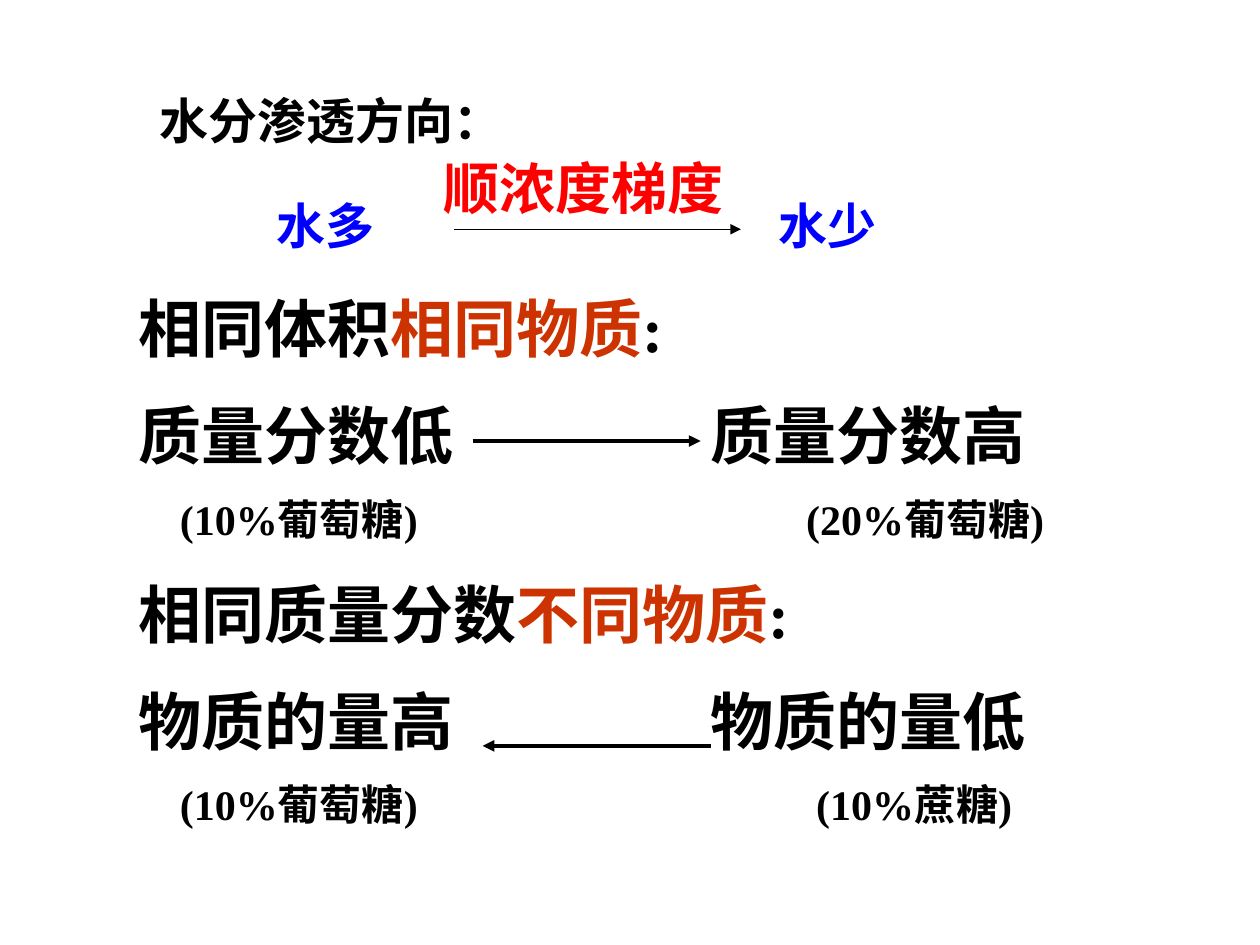
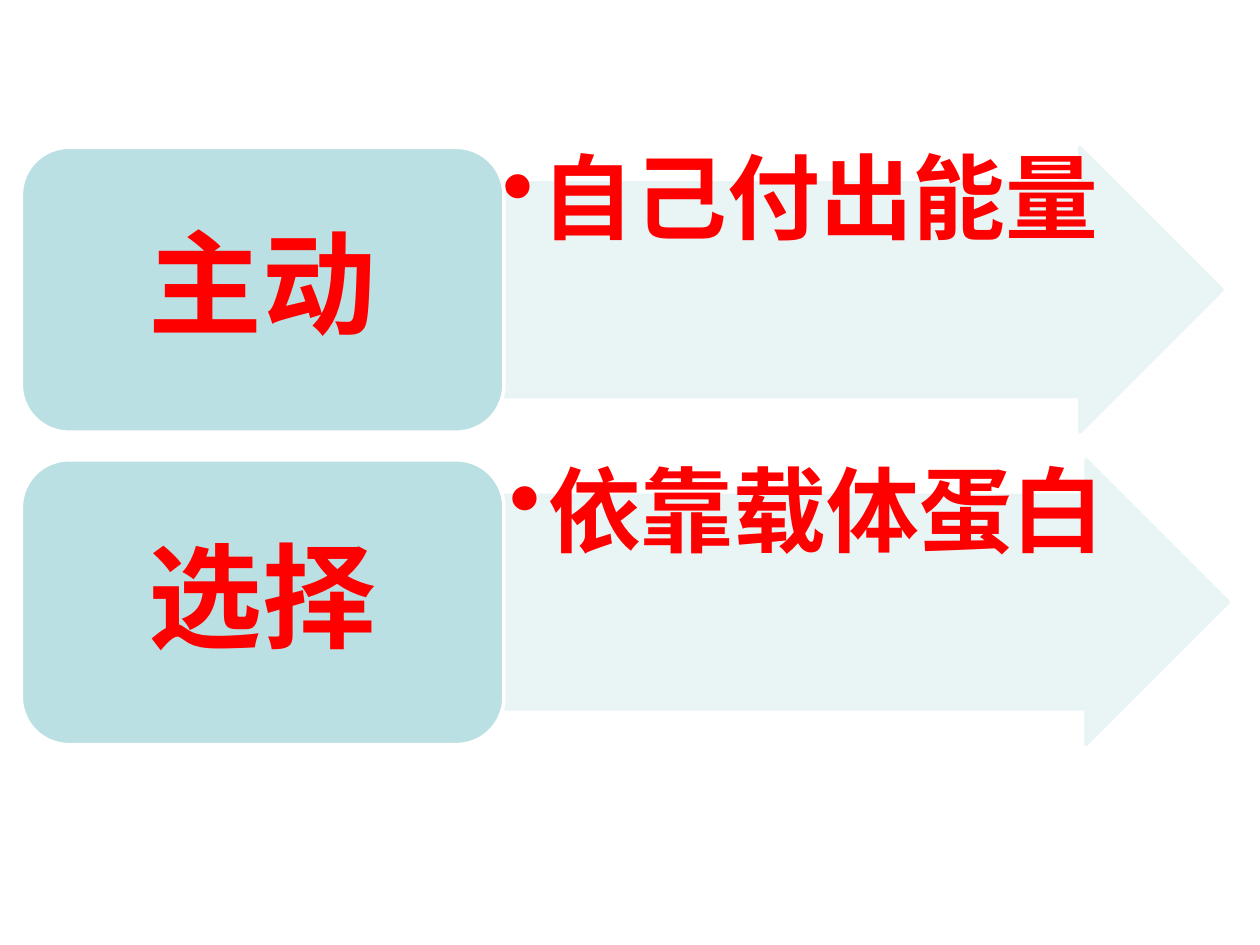
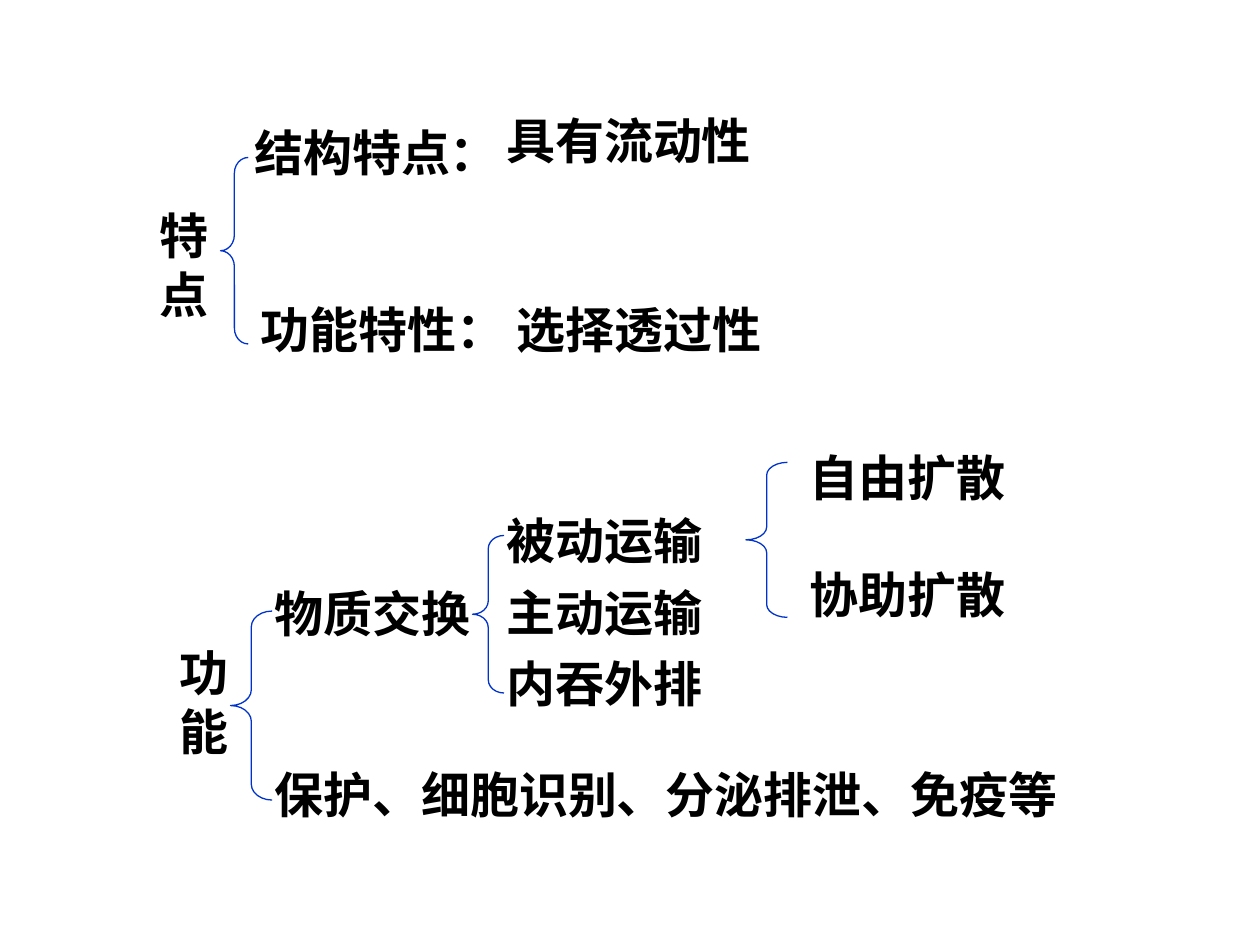
from dataclasses import dataclass

from pptx import Presentation
from pptx.dml.color import RGBColor
from pptx.enum.lang import MSO_LANGUAGE_ID
from pptx.enum.shapes import MSO_CONNECTOR, MSO_SHAPE
from pptx.enum.text import MSO_ANCHOR, PP_ALIGN
from pptx.oxml.ns import qn
from pptx.util import Inches, Pt
from lxml.etree import SubElement


@dataclass(frozen=True)
class Theme:
    black: str = "000000"
    red: str = "FF0000"
    blue: str = "0000FF"
    rust: str = "CC3300"
    brace: str = "0033CC"
    card: str = "BBE0E3"
    arrow: str = "E7F3F4"
    white: str = "FFFFFF"
    serif: str = "Times New Roman"
    sans: str = "Arial"
    cjk: str = "Noto Sans CJK JP"
    caption: int = 24
    label: int = 28
    emphasis: int = 32
    heading: int = 36
    detail: int = 53
    keyword: int = 65


THEME = Theme()

# Osmosis: each paragraph is (size, tab stops in inches, [(text, colour)])
COLUMN_TABS = (4.54,)
OSMOSIS = [
    (THEME.heading, (), [("相同体积", THEME.black), ("相同物质", THEME.rust), (":", THEME.black)]),
    (THEME.heading, COLUMN_TABS, [("质量分数低\t质量分数高", THEME.black)]),
    (THEME.caption, (0.33, 5.3), [("\t(10%葡萄糖)\t(20%葡萄糖)", THEME.black)]),
    (THEME.heading, (), [("相同质量分数", THEME.black), ("不同物质", THEME.rust), (":", THEME.black)]),
    (THEME.heading, COLUMN_TABS, [("物质的量高\t物质的量低", THEME.black)]),
    (THEME.caption, (0.33, 5.38), [("\t(10%葡萄糖)\t(10%蔗糖)", THEME.black)]),
]
# text, left, top, width, size, font, colour
OSMOSIS_LABELS = [
    ("水分渗透方向：", 1.17, 0.67, 6.86, THEME.label, THEME.serif, THEME.black),
    ("水多", 2.1, 1.5, 1.2, THEME.label, THEME.cjk, THEME.blue),
    ("顺浓度梯度", 3.42, 1.17, 2.6, THEME.emphasis, THEME.cjk, THEME.red),
    ("水少", 6.08, 1.5, 1.2, THEME.label, THEME.cjk, THEME.blue),
]
# start x, end x, y, line width
OSMOSIS_ARROWS = [(3.6, 5.88, 1.82, 0.75), (3.75, 5.56, 3.5, 2.25), (5.64, 3.83, 5.92, 2.25)]

# keyword, explanation, arrow left
TRANSPORT = [("主动", "自己付出能量", 3.95), ("选择", "依靠载体蛋白", 4)]
CARD_LEFT, CARD_TOP, CARD_WIDTH, CARD_HEIGHT, CARD_PITCH = 0.17, 1.17, 3.83, 2.26, 2.48
ARROW_WIDTH = 5.75

# text, left, top, width, font
MEMBRANE_LABELS = [
    ("特点", 1.17, 1.58, 0.58, THEME.serif),
    ("结构特点：", 1.92, 0.92, 2.1, THEME.serif),
    ("具有流动性", 3.92, 0.83, 2.5, THEME.sans),
    ("功能特性：", 1.97, 2.33, 2.1, THEME.serif),
    ("选择透过性", 4, 2.33, 2.5, THEME.sans),
    ("功能", 1.33, 5.05, 0.67, THEME.serif),
    ("物质交换", 2.08, 4.58, 2, THEME.serif),
    ("保护、细胞识别、分泌排泄、免疫等", 2.08, 6.02, 6.92, THEME.serif),
]
# lines, left, top, width, font, space before, line spacing of the later lines
MEMBRANE_LISTS = [
    (["被动运输", "主动运输", "内吞外排"], 3.92, 4, 2.17, THEME.serif, 14, 0.8),
    (["自由扩散", "协助扩散"], 6.33, 3.5, 2, THEME.sans, 33.7, 1),
]
# left, top, width, height, curl
BRACES = [
    (1.75, 1.25, 0.22, 1.48, 0.57),
    (5.92, 3.67, 0.33, 1.23, 0.31),
    (1.83, 4.85, 0.33, 1.5, 0.38),
    (3.75, 4.25, 0.25, 1.25, 0.42),
]


def colour(code):
    return RGBColor.from_string(code)


def style(font, size, face, code):
    font.size, font.name, font.bold = Pt(size), face, True
    font.color.rgb = colour(code)
    font.language_id = MSO_LANGUAGE_ID.SIMPLIFIED_CHINESE


def add_frame(slide, left, top, width, height):
    frame = slide.shapes.add_textbox(*map(Inches, (left, top, width, height))).text_frame
    frame.word_wrap = True
    return frame


def next_paragraph(frame, index):
    return frame.add_paragraph() if index else frame.paragraphs[0]


def add_lines(slide, lines, left, top, width, size, face, code, gap=0, spacing=1):
    frame = add_frame(slide, left, top, width, 0.57 * len(lines))
    for index, line in enumerate(lines):
        paragraph = next_paragraph(frame, index)
        paragraph.text = line
        if index:
            paragraph.space_before, paragraph.line_spacing = Pt(gap), spacing
        style(paragraph.runs[0].font, size, face, code)


def add_preset(slide, preset, box, fill, line, line_width):
    shape = slide.shapes.add_shape(preset, *map(Inches, box))
    shape.shadow.inherit = False
    if fill:
        shape.fill.solid()
        shape.fill.fore_color.rgb = colour(fill)
    else:
        shape.fill.background()
    shape.line.color.rgb = colour(line)
    shape.line.width = Pt(line_width)
    return shape


def add_arrow(slide, start, end, y, width):
    arrow = slide.shapes.add_connector(MSO_CONNECTOR.STRAIGHT, *map(Inches, (start, y, end, y)))
    arrow.line.color.rgb = colour(THEME.black)
    arrow.line.width = Pt(width)
    SubElement(arrow.line._get_or_add_ln(), qn("a:tailEnd"), type="triangle")
    SubElement(arrow._element.spPr, qn("a:effectLst"))


def set_tabs(paragraph, stops):
    tabs = SubElement(paragraph._p.get_or_add_pPr(), qn("a:tabLst"))
    for stop in stops:
        SubElement(tabs, qn("a:tab"), pos=str(Inches(stop)), algn="l")


def set_bullet(paragraph, indent):
    properties = paragraph._p.get_or_add_pPr()
    properties.set("marL", str(Inches(indent)))
    properties.set("indent", str(-Inches(indent)))
    SubElement(properties, qn("a:buChar"), char="•")


def build_osmosis(slide):
    for text, *place in OSMOSIS_LABELS:
        add_lines(slide, [text], *place)
    frame = add_frame(slide, 1, 2.25, 8, 4.67)
    for index, (size, stops, parts) in enumerate(OSMOSIS):
        paragraph = next_paragraph(frame, index)
        if index:
            paragraph.space_before = Pt(size / 2)
        if stops:
            set_tabs(paragraph, stops)
        for text, code in parts:
            run = paragraph.add_run()
            run.text = text
            style(run.font, size, THEME.serif, code)
    for arrow in OSMOSIS_ARROWS:
        add_arrow(slide, *arrow)


def build_transport(slide):
    for row, (keyword, explanation, arrow_left) in enumerate(TRANSPORT):
        top = CARD_TOP + row * CARD_PITCH
        arrow_box = (arrow_left, top, ARROW_WIDTH, CARD_HEIGHT)
        arrow = add_preset(slide, MSO_SHAPE.RIGHT_ARROW, arrow_box, THEME.arrow, THEME.arrow, 2)
        arrow.adjustments[0] = 0.75
        for tint in arrow._element.spPr.iter(qn("a:srgbClr")):
            SubElement(tint, qn("a:alpha"), val="90000")

        frame = add_frame(slide, *arrow_box)
        frame.margin_left = frame.margin_right = frame.margin_top = frame.margin_bottom = Inches(0.04)
        detail = frame.paragraphs[0]
        detail.text = explanation
        detail.line_spacing = 0.9
        set_bullet(detail, 0.31)
        style(detail.runs[0].font, THEME.detail, THEME.sans, THEME.red)

        card_box = (CARD_LEFT, top, CARD_WIDTH, CARD_HEIGHT)
        card = add_preset(slide, MSO_SHAPE.ROUNDED_RECTANGLE, card_box, THEME.card, THEME.white, 2)
        card.text_frame.vertical_anchor = MSO_ANCHOR.MIDDLE
        title = card.text_frame.paragraphs[0]
        title.text = keyword
        title.alignment, title.line_spacing = PP_ALIGN.CENTER, 0.9
        style(title.runs[0].font, THEME.keyword, THEME.sans, THEME.red)


def build_membrane(slide):
    for text, left, top, width, face in MEMBRANE_LABELS:
        add_lines(slide, [text], left, top, width, THEME.label, face, THEME.black)
    for lines, left, top, width, face, gap, spacing in MEMBRANE_LISTS:
        add_lines(slide, lines, left, top, width, THEME.label, face, THEME.black, gap, spacing)
    for *box, curl in BRACES:
        brace = add_preset(slide, MSO_SHAPE.LEFT_BRACE, box, None, THEME.brace, 0.75)
        brace.adjustments[0] = curl


def main():
    deck = Presentation()
    deck.slide_width, deck.slide_height = Inches(10), Inches(7.5)
    for build in (build_osmosis, build_transport, build_membrane):
        build(deck.slides.add_slide(deck.slide_layouts[6]))
    deck.save("out.pptx")


if __name__ == "__main__":
    main()
